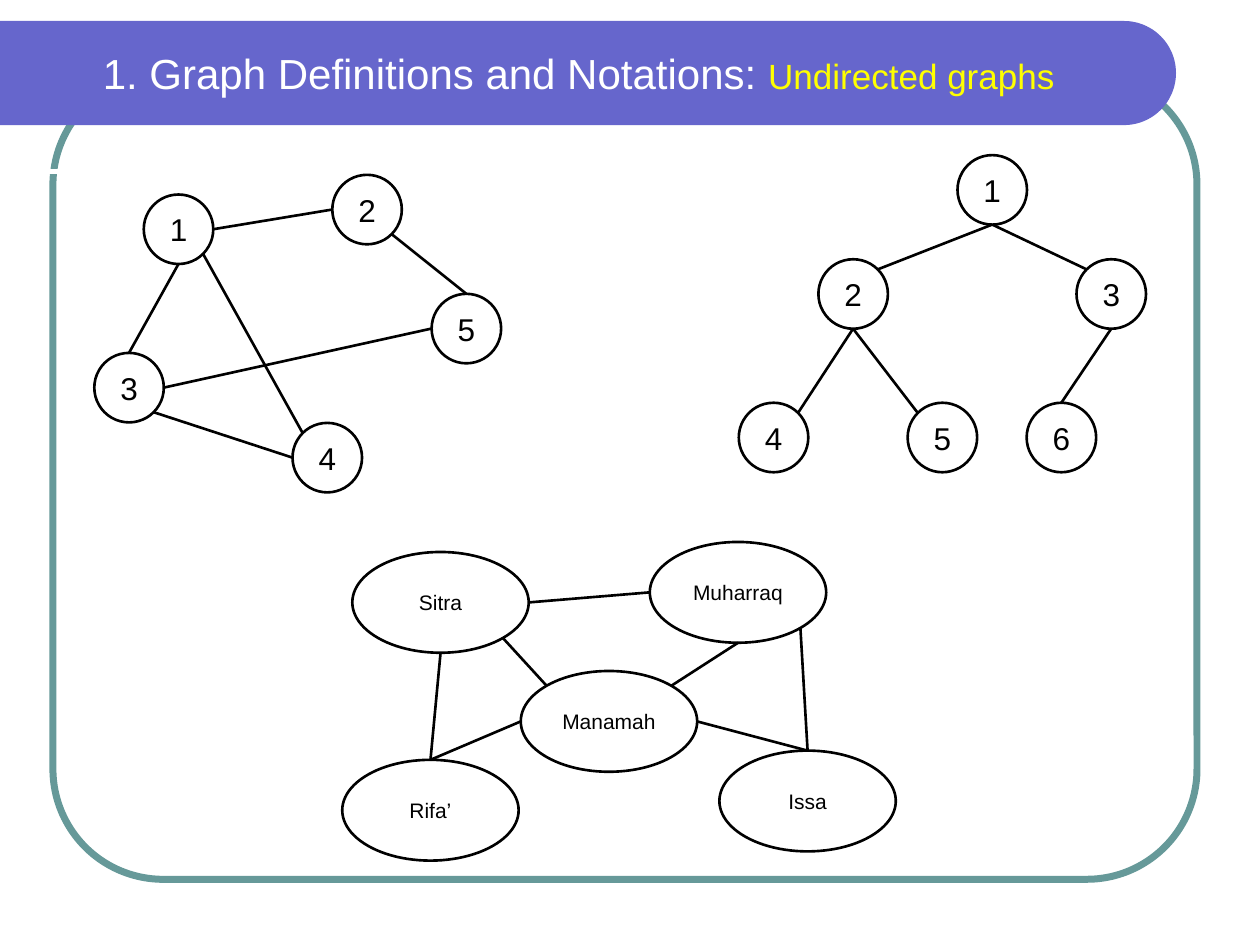
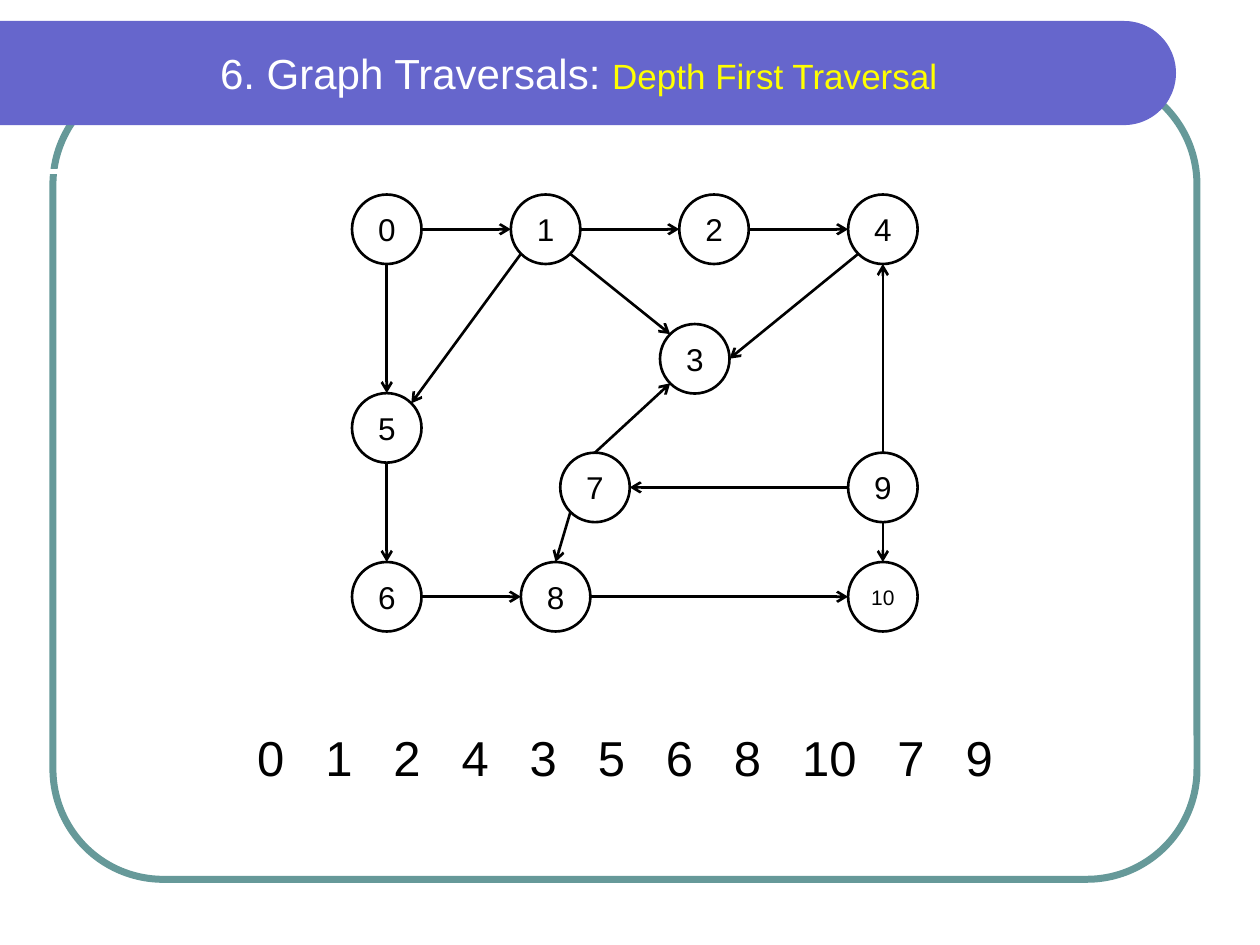
from math import cos, pi, sin, sqrt

from lxml.etree import SubElement
from pptx import Presentation
from pptx.dml.color import RGBColor
from pptx.enum.shapes import MSO_CONNECTOR, MSO_SHAPE
from pptx.enum.text import MSO_ANCHOR, PP_ALIGN
from pptx.oxml.ns import qn
from pptx.util import Pt

FONT = "Arial"
BLACK, WHITE, YELLOW = "000000", "FFFFFF", "FFFF00"
BAND, FRAME = "6666CC", "669999"
CIRCLE, OVAL = (39.7, 39.7), (100.8, 57.6)

NUMBERED_GRAPH = {
    "size": CIRCLE, "font": 18, "directed": False,
    "nodes": {"1": (102, 131), "2": (209.75, 119.75), "3": (73.75, 221.5),
              "4": (187, 261.5), "5": (266.5, 187.75)},
    "edges": ["1 E 2 W", "1 S 3 N", "5 W 3 E", "2 SE 5 N", "4 W 3 SE", "1 SE 4 NW"],
}
TREE = {
    "size": CIRCLE, "font": 18, "directed": False,
    "nodes": {"1": (567, 108.5), "2": (487.5, 168), "3": (635, 168),
              "4": (442, 250), "5": (538.5, 250), "6": (606.5, 250)},
    "edges": ["1 S 2 NE", "1 S 3 NW", "2 S 4 NE", "2 S 5 NW", "3 S 6 N"],
}
CITY_MAP = {
    "size": OVAL, "font": 12, "directed": False,
    "nodes": {"Rifa’": (246, 463), "Manamah": (348, 412.25), "Sitra": (251.75, 344.25),
              "Muharraq": (421.75, 338.5), "Issa": (461.5, 457.75)},
    "edges": ["Rifa’ N Manamah W", "Rifa’ N Sitra S", "Manamah E Issa N",
              "Muharraq W Sitra E", "Manamah NE Muharraq S",
              "Manamah NW Sitra SE", "Issa N Muharraq SE"],
}
TRAVERSAL_GRAPH = {
    "size": CIRCLE, "font": 18, "directed": True,
    "nodes": {"0": (221, 131), "1": (311.75, 131), "2": (408, 131), "4": (504.5, 131),
              "3": (397, 205), "5": (221, 244.5), "7": (340, 278.5), "9": (504.5, 278.5),
              "6": (221, 341), "8": (317.5, 341), "10": (504.5, 341)},
    "edges": ["0 E 1 W", "1 E 2 W", "2 E 4 W", "1 SE 3 NW", "4 SW 3 E",
              "0 S 5 N", "1 SW 5 NE", "5 S 6 N", "7 N 3 SW", "7 SW 8 N",
              "9 W 7 E", "9 N 4 S", "9 S 10 N", "6 E 8 W", "8 E 10 W"],
}
VISIT_ORDER = ["0", "1", "2", "4", "3", "5", "6", "8", "10", "7", "9"]
DIGIT_WIDTH, VISIT_GAP = 15.57, 23.35

PAGES = [
    {"title": ("1. Graph Definitions and Notations: ", "Undirected graphs"),
     "graphs": [NUMBERED_GRAPH, TREE, CITY_MAP], "order": []},
    {"title": ("6. Graph Traversals: ", "Depth First Traversal"),
     "graphs": [TRAVERSAL_GRAPH], "order": VISIT_ORDER},
]


def colour(value):
    return RGBColor.from_string(value)


def style_font(font, size, value):
    font.name = FONT
    font.size = Pt(size)
    font.color.rgb = colour(value)


def add_outline(page, preset, left, top, width, height, line_colour, weight):
    shape = page.shapes.add_shape(preset, Pt(left), Pt(top), Pt(width), Pt(height))
    shape.shadow.inherit = False
    shape.fill.background()
    shape.line.color.rgb = colour(line_colour)
    shape.line.width = Pt(weight)
    return shape


def add_line(page, start, end, line_colour, weight, arrow=False):
    line = page.shapes.add_connector(
        MSO_CONNECTOR.STRAIGHT, *(Pt(value) for value in (*start, *end)))
    line.line.color.rgb = colour(line_colour)
    line.line.width = Pt(weight)
    properties = line._element.spPr
    if arrow:
        SubElement(properties.find(qn("a:ln")), qn("a:tailEnd"), type="arrow")
    SubElement(properties, qn("a:effectLst"))


def add_band(page):
    top, radius, right = 12, 29.75, 672
    arc = [(right - radius + radius * cos(angle), top + radius + radius * sin(angle))
           for angle in (pi * (step / 48 - 0.5) for step in range(49))]
    builder = page.shapes.build_freeform(0, Pt(top))
    builder.add_line_segments(
        [(Pt(x), Pt(y)) for x, y in arc + [(0, top + 2 * radius)]], close=True)
    band = builder.convert_to_shape()
    band.shadow.inherit = False
    band.fill.solid()
    band.fill.fore_color.rgb = colour(BAND)
    band.line.fill.background()


def dress_layout(layout, page):
    frame = add_outline(page, MSO_SHAPE.ROUNDED_RECTANGLE, 30.25, 42.5, 653.75, 460, FRAME, 4)
    frame.adjustments[0] = 0.137
    add_band(page)
    add_line(page, (0, 98), (636, 98), WHITE, 3)
    decorations = [shape for shape in page.shapes if not shape.is_placeholder]
    for position, shape in enumerate(decorations, 2):
        layout.shapes._spTree.insert(position, shape._element)
    title = layout.placeholders[0]
    title.left, title.top, title.width, title.height = Pt(15), Pt(18), Pt(631.5), Pt(47.5)
    title.text_frame.vertical_anchor = MSO_ANCHOR.MIDDLE


def fill_title(page, parts):
    para = page.shapes.title.text_frame.paragraphs[0]
    para.alignment = PP_ALIGN.CENTER
    for text, size, value in zip(parts, (24, 20), (WHITE, YELLOW)):
        span = para.add_run()
        span.text = text
        style_font(span.font, size, value)


def edge_point(centre, size, side):
    across = ("E" in side) - ("W" in side)
    down = ("S" in side) - ("N" in side)
    reach = 2 * sqrt(across ** 2 + down ** 2)
    return (centre[0] + across * size[0] / reach, centre[1] + down * size[1] / reach)


def add_graph(page, graph):
    nodes, size = graph["nodes"], graph["size"]
    width, height = size
    for label, (x, y) in nodes.items():
        node = add_outline(page, MSO_SHAPE.OVAL, x - width / 2, y - height / 2,
                           width, height, BLACK, 1.5)
        frame = node.text_frame
        frame.word_wrap = False
        frame.vertical_anchor = MSO_ANCHOR.MIDDLE
        para = frame.paragraphs[0]
        para.text = label
        para.alignment = PP_ALIGN.CENTER
        style_font(para.font, 12 if label == "10" else graph["font"], BLACK)
    for edge in graph["edges"]:
        source, exit_side, target, entry_side = edge.split()
        add_line(page, edge_point(nodes[source], size, exit_side),
                 edge_point(nodes[target], size, entry_side),
                 BLACK, 1.5, graph["directed"])


def add_visit_order(page, order):
    box = page.shapes.add_textbox(Pt(105), Pt(412), Pt(504.75), Pt(41))
    frame = box.text_frame
    frame.word_wrap = True
    frame.margin_left = Pt(42)
    para = frame.paragraphs[0]
    para.text = "\t".join(order)
    style_font(para.font, 28, BLACK)
    properties = para._p.get_or_add_pPr()
    tabs = SubElement(properties, qn("a:tabLst"))
    properties.insert(0, tabs)
    stop = 0
    for label in order[:-1]:
        stop += len(label) * DIGIT_WIDTH + VISIT_GAP
        SubElement(tabs, qn("a:tab"), pos=str(Pt(stop)), algn="l")


def main():
    deck = Presentation()
    deck.slide_width, deck.slide_height = Pt(720), Pt(540)
    layout = deck.slide_layouts[5]
    for number, content in enumerate(PAGES):
        page = deck.slides.add_slide(layout)
        if number == 0:
            dress_layout(layout, page)
        fill_title(page, content["title"])
        for graph in content["graphs"]:
            add_graph(page, graph)
        if content["order"]:
            add_visit_order(page, content["order"])
    deck.save("out.pptx")


if __name__ == "__main__":
    main()
